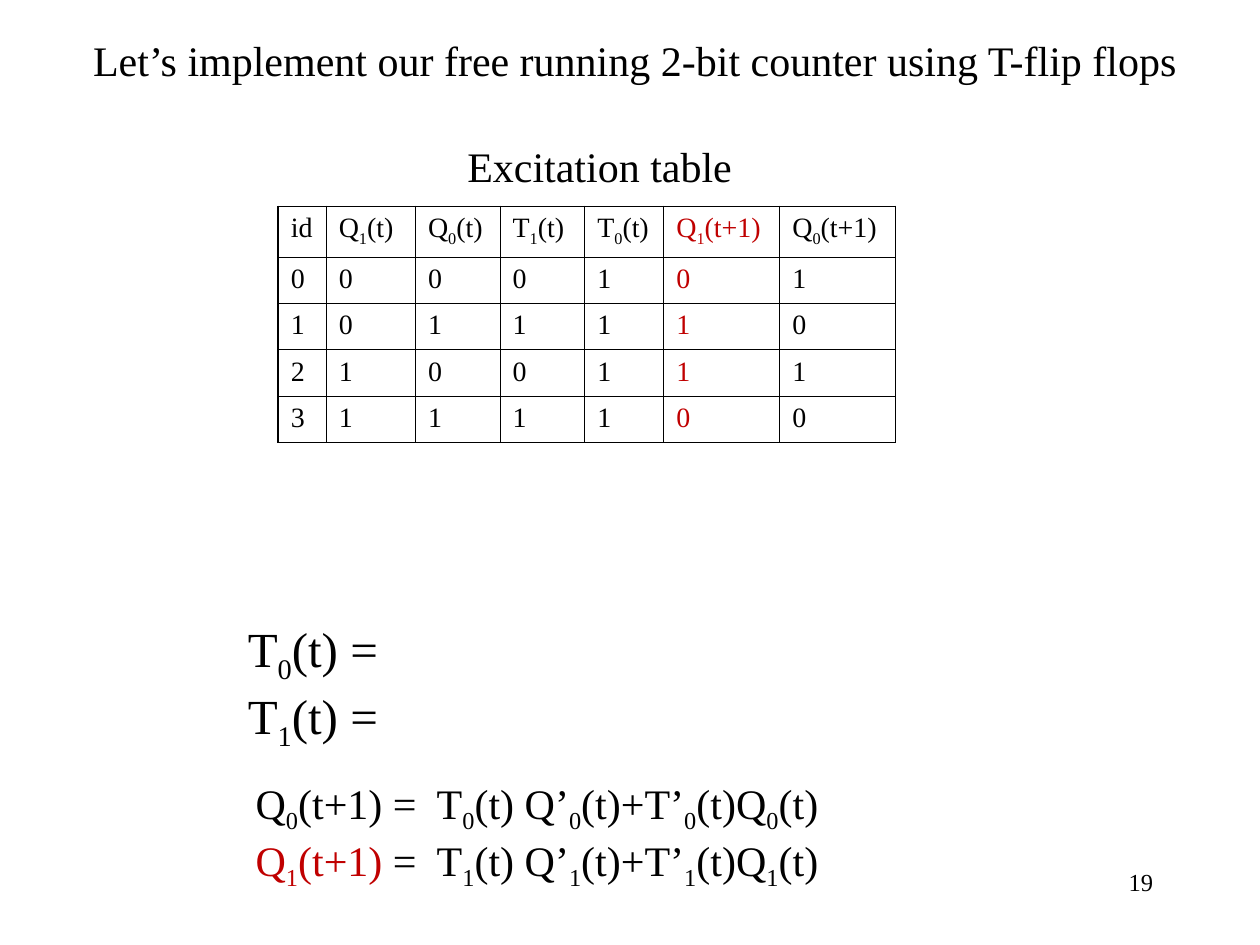
from dataclasses import dataclass

from lxml import etree
from pptx import Presentation
from pptx.dml.color import RGBColor
from pptx.enum import text as tx
from pptx.oxml import ns
from pptx.util import Pt


@dataclass(frozen=True)
class Theme:
    font: str = "Times New Roman"
    ink: str = "000000"
    mark: str = "C00000"
    large: float = 28
    head: float = 24
    cell: float = 16
    page: float = 14
    thin: float = 0.45
    thick: float = 1.08


THEME = Theme()
COLS = (27.4, 51, 48.4, 48.4, 45.2, 66.3, 66.3)
ROWS = (29, 26.3, 26.3, 26.3, 26.3)
HEADS = ("id", "Q_1(t)", "Q_0(t)", "T_1(t)", "T_0(t)", "Q_1(t+1)", "Q_0(t+1)")
STATES = ("0000101", "1011110", "2100111", "3111100")
MARKED = 5


def write(para, words, size, color=THEME.ink):
    first, *rest = words.split("_")
    parts = [(first, False)]
    for part in rest:
        parts += [(part[0], True), (part[1:], False)]
    for part, low in parts:
        run = para.add_run()
        run.text = part
        font = run.font
        font.name, font.size = THEME.font, Pt(size)
        font.color.rgb = RGBColor.from_string(color)
        if low:
            run._r.get_or_add_rPr().set("baseline", "-25000")


def place(shape, box):
    shape.left, shape.top, shape.width, shape.height = map(Pt, box)


def add_text(slide, box, lines, size, wrap=True, grow=True):
    frame = slide.shapes.add_textbox(*map(Pt, box)).text_frame
    frame.word_wrap = wrap
    if grow:
        frame.auto_size = tx.MSO_AUTO_SIZE.SHAPE_TO_FIT_TEXT
    for i, line in enumerate(lines):
        para = frame.add_paragraph() if i else frame.paragraphs[0]
        write(para, line, size)
    return frame


def add_title(slide, box):
    title = slide.shapes.title
    place(title, box)
    frame = title.text_frame
    frame.word_wrap = False
    frame.auto_size = tx.MSO_AUTO_SIZE.SHAPE_TO_FIT_TEXT
    frame.vertical_anchor = tx.MSO_ANCHOR.TOP
    para = frame.paragraphs[0]
    para.alignment = tx.PP_ALIGN.LEFT
    write(para, "Let’s implement our free running 2-bit counter using T-flip flops", THEME.head)


def add_edges(cell, row, col):
    props = cell._tc.get_or_add_tcPr()
    for side in "LRTB":
        outer = (side == "L" and col == 0) or (side == "T" and row == 0)
        width = Pt(THEME.thick if outer else THEME.thin)
        line = etree.SubElement(props, ns.qn(f"a:ln{side}"), w=str(width))
        fill = etree.SubElement(line, ns.qn("a:solidFill"))
        etree.SubElement(fill, ns.qn("a:srgbClr"), val=THEME.ink)


def add_states(slide, box):
    left, top, width, height = box
    add_text(slide, (left + 101, top, 165.6, 36), ["Excitation table"], THEME.head, wrap=False)
    grid = (left, top + 41, sum(COLS), sum(ROWS))
    table = slide.shapes.add_table(len(ROWS), len(COLS), *map(Pt, grid)).table
    table.first_row = table.horz_banding = False
    for col, size in zip(table.columns, COLS):
        col.width = Pt(size)
    for row, size in zip(table.rows, ROWS):
        row.height = Pt(size)
    for i, values in enumerate((HEADS, *STATES)):
        for j, value in enumerate(values):
            cell = table.cell(i, j)
            add_edges(cell, i, j)
            cell.fill.background()
            color = THEME.mark if j == MARKED else THEME.ink
            write(cell.text_frame.paragraphs[0], value, THEME.cell, color)


def add_inputs(slide, box):
    add_text(slide, box, [f"T_{i}(t) =" for i in (0, 1)], THEME.large)


def add_next(slide, box):
    frame = add_text(slide, box, ["", ""], THEME.head)
    for i, para in enumerate(frame.paragraphs):
        para.clear()
        tabs = etree.SubElement(para._p.get_or_add_pPr(), ns.qn("a:tabLst"))
        etree.SubElement(tabs, ns.qn("a:tab"), pos=str(Pt(103.5)), algn="l")
        write(para, f"Q_{i}(t+1) ", THEME.head, THEME.mark if i else THEME.ink)
        write(para, f"=\tT_{i}(t) Q’_{i}(t)+T’_{i}(t)Q_{i}(t)", THEME.head)


def add_page(slide, box):
    frame = add_text(slide, box, ["19"], THEME.page, grow=False)
    frame.paragraphs[0].alignment = tx.PP_ALIGN.RIGHT


def main():
    deck = Presentation()
    deck.slide_width, deck.slide_height = Pt(720), Pt(540)
    slide = deck.slides.add_slide(deck.slide_layouts[5])
    add_page(slide, (516, 492, 150, 36))
    add_title(slide, (46, 16, 637, 36))
    add_states(slide, (159, 77, 353, 175))
    add_inputs(slide, (134.5, 350, 408, 117))
    add_next(slide, (139, 440.5, 360, 73))
    deck.save("out.pptx")


if __name__ == "__main__":
    main()
